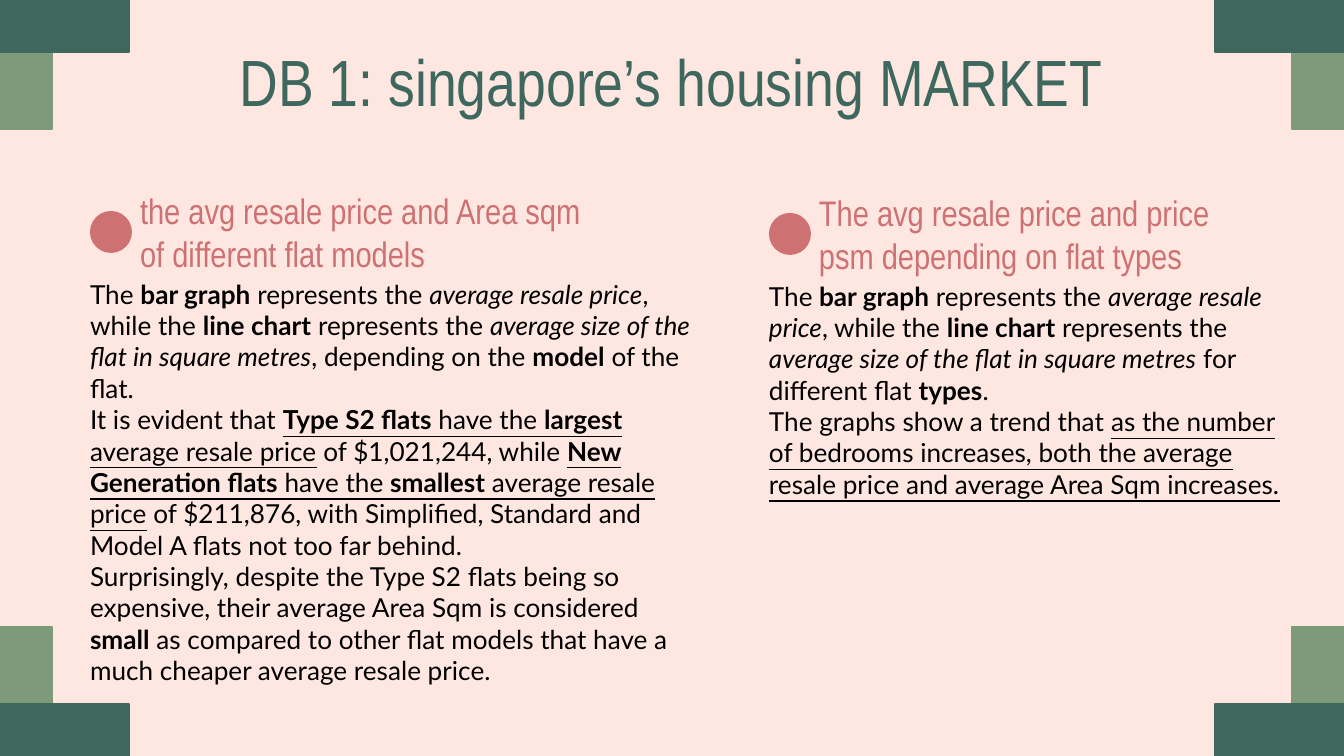
from pptx import Presentation
from pptx.dml.color import RGBColor
from pptx.enum.shapes import MSO_SHAPE
from pptx.enum.text import MSO_ANCHOR, PP_ALIGN
from pptx.util import Pt

RECT, OVAL = MSO_SHAPE.RECTANGLE, MSO_SHAPE.OVAL
TOP, MIDDLE = MSO_ANCHOR.TOP, MSO_ANCHOR.MIDDLE
LEFT, CENTER = PP_ALIGN.LEFT, PP_ALIGN.CENTER
SCALE = 9144000 / 1344
WIDE, HIGH = 1344, 756
COLORS = {"back": "FFE7E1", "dark": "3E675D", "light": "7D9A79", "rose": "CE7173", "ink": "000000"}
HEAD, BODY = "Arial Narrow", "Lato"

MODELS = [
    [("The ", ""), ("bar graph", "b"), (" represents the ", ""), ("average resale price", "i"),
     (", while the ", ""), ("line chart", "b"), (" represents the ", ""),
     ("average size of the flat in square metres", "i"), (", depending on the ", ""),
     ("model", "b"), (" of the flat.", "")],
    [("It is evident that ", ""), ("Type S2 flats", "bu"), (" have the ", "u"), ("largest", "bu"),
     (" average resale price", "u"), (" of $1,021,244, while ", ""), ("New Generation flats", "bu"),
     (" have the ", "u"), ("smallest", "bu"), (" average resale price", "u"),
     (" of $211,876, with Simplified, Standard and Model A flats not too far behind.", "")],
    [("Surprisingly, despite the Type S2 flats being so expensive, "
      "their average Area Sqm is considered ", ""), ("small", "b"),
     (" as compared to other flat models that have a much cheaper average resale price.", "")],
]
TYPES = [
    [("The", ""), (" bar graph", "b"), (" represents the ", ""), ("average resale price", "i"),
     (", while the ", ""), ("line chart", "b"), (" represents the ", ""),
     ("average size of the flat in square metres", "i"), (" for different flat ", ""),
     ("types", "b"), (".", "")],
    [("The graphs show a trend that ", ""),
     ("as the number of bedrooms increases, both the average resale price "
      "and average Area Sqm increases.", "u")],
]


def px(n):
    """Turn pixels into EMU."""
    return round(n * SCALE)


def tint(name):
    """Look up a colour by name."""
    return RGBColor.from_string(COLORS[name])


def add_form(slide, kind, box, color, edge=False):
    """Place one filled shape, with or without an outline."""
    form = slide.shapes.add_shape(kind, *map(px, box))
    form.shadow.inherit = False
    form.fill.solid()
    form.fill.fore_color.rgb = tint(color)
    if edge:
        form.line.color.rgb = tint(color)
        form.line.width = Pt(0.75)
    else:
        form.line.fill.background()


def add_text(slide, box, paras, face, size, color, anchor=TOP, align=LEFT):
    """Place a text box of styled paragraphs."""
    frame = slide.shapes.add_textbox(*map(px, box)).text_frame
    frame.word_wrap = True
    frame.vertical_anchor = anchor
    frame.margin_left = frame.margin_right = frame.margin_bottom = 0
    frame.margin_top = px(1)
    for i, runs in enumerate(paras):
        para = frame.paragraphs[0] if i == 0 else frame.add_paragraph()
        para.alignment = align
        para.font.name, para.font.size = face, Pt(size)
        para.font.color.rgb = tint(color)
        for text, style in runs:
            run = para.add_run()
            run.text = text
            if "b" in style:
                run.font.bold = True
            if "i" in style:
                run.font.italic = True
            if "u" in style:
                run.font.underline = True


def add_corners(slide, box):
    """Place a tall and a wide bar in each corner of the box."""
    x, y, w, h = box
    for low in (0, 1):
        for right in (0, 1):
            for bw, bh, color in ((52, 129, "light"), (129, 52, "dark")):
                spot = (x + right * (w - bw), y + low * (h - bh), bw, bh)
                add_form(slide, RECT, spot, color, edge=True)


def add_title(slide, box, text):
    """Place the slide title."""
    add_text(slide, box, [[(text, "")]], HEAD, 35, "dark", MIDDLE, CENTER)


def add_column(slide, box, head, paras):
    """Place a dot, a heading and the body text."""
    x, y, w, h = box
    add_text(slide, (x, y + 81, w, h - 81), paras, BODY, 14, "ink")
    add_text(slide, (x + 50, y, 446, 71), [[(head, "")]], HEAD, 19, "rose", MIDDLE)
    add_form(slide, OVAL, (x, y + 15, 42, 42), "rose")


def main():
    """Build and save the slide."""
    deck = Presentation()
    deck.slide_width, deck.slide_height = px(WIDE), px(HIGH)
    slide = deck.slides.add_slide(deck.slide_layouts[6])
    slide.background.fill.solid()
    slide.background.fill.fore_color.rgb = tint("back")
    add_corners(slide, (0, 0, WIDE, HIGH))
    add_title(slide, (105, 44, 1133, 71), "DB 1: singapore’s housing MARKET")
    add_column(slide, (90, 196, 606, 494),
               "the avg resale price and Area sqm of different flat models", MODELS)
    add_column(slide, (769, 198, 520, 246),
               "The avg resale price and price psm depending on flat types", TYPES)
    deck.save("out.pptx")


if __name__ == "__main__":
    main()
